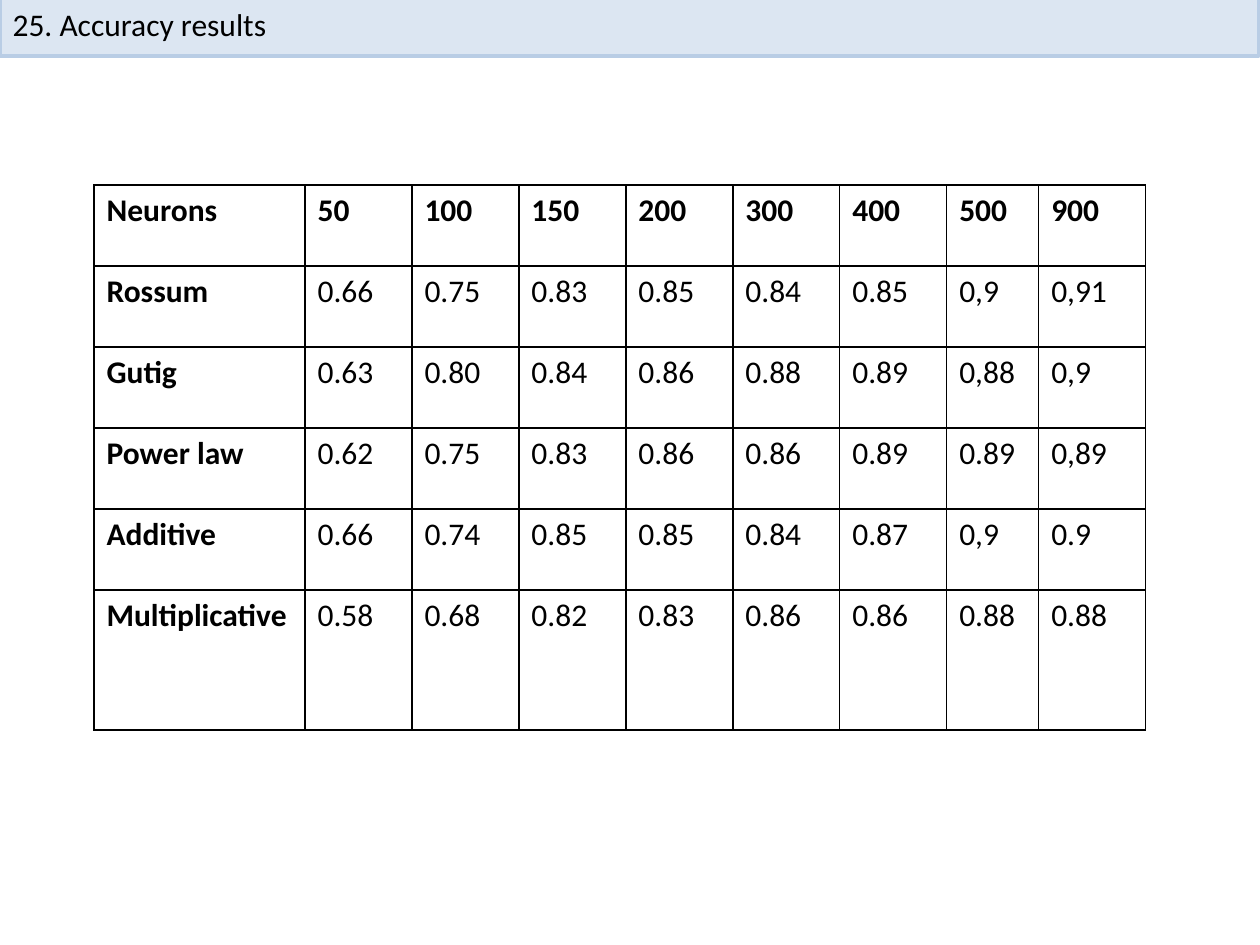
from lxml.etree import SubElement
from pptx import Presentation
from pptx.dml.color import RGBColor as RGB
from pptx.enum.text import MSO_ANCHOR as ANCHOR, PP_ALIGN as ALIGN
from pptx.oxml.ns import qn
from pptx.util import Inches, Pt

PX = Inches(1) / 126
COLORS = {"bar": "DCE6F2", "edge": "B9CDE5", "ink": "000000"}


def px(n):
    return round(n * PX)


class Deck:
    """Draws the elements of the current slide in one style."""

    def __init__(self, prs, font="Calibri", size=18):
        self.font, self.size = font, size
        self.slide = prs.slides.add_slide(prs.slide_layouts[5])

    def color(self, name):
        return RGB.from_string(COLORS[name])

    def label(self, tf, text, bold=False, align=None):
        tf.text = text
        p = tf.paragraphs[0]
        p.alignment = align
        f = p.runs[0].font
        f.name, f.size, f.bold = self.font, Pt(self.size), bold
        f.color.rgb = self.color("ink")

    def title(self, text, left, top, width, height):
        sp = self.slide.shapes.title
        sp.left, sp.top, sp.width, sp.height = map(px, (left, top, width, height))
        sp.fill.solid()
        sp.fill.fore_color.rgb = self.color("bar")
        sp.line.color.rgb = self.color("edge")
        sp.line.width = Pt(2)
        sp.text_frame.vertical_anchor = ANCHOR.MIDDLE
        self.label(sp.text_frame, text, align=ALIGN.JUSTIFY)

    def borders(self, cell):
        tc_pr = cell._tc.get_or_add_tcPr()
        for i, side in enumerate(("lnL", "lnR", "lnT", "lnB")):
            ln = tc_pr.makeelement(qn(f"a:{side}"), {"w": str(Pt(1))})
            fill = SubElement(ln, qn("a:solidFill"))
            SubElement(fill, qn("a:srgbClr"), val=COLORS["ink"])
            tc_pr.insert(i, ln)

    def table(self, rows, left, top, widths, heights):
        box = map(px, (left, top, sum(widths), sum(heights)))
        table = self.slide.shapes.add_table(len(rows), len(widths), *box).table
        table.first_row = table.horz_banding = False
        for col, width in zip(table.columns, widths):
            col.width = px(width)
        for row, height in zip(table.rows, heights):
            row.height = px(height)
        for r, values in enumerate(rows):
            for c, value in enumerate(values):
                cell = table.cell(r, c)
                cell.fill.background()
                self.borders(cell)
                self.label(cell.text_frame, value, bold=r == 0 or c == 0)


ACCURACY = [
    ["Neurons", "50", "100", "150", "200", "300", "400", "500", "900"],
    ["Rossum", "0.66", "0.75", "0.83", "0.85", "0.84", "0.85", "0,9", "0,91"],
    ["Gutig", "0.63", "0.80", "0.84", "0.86", "0.88", "0.89", "0,88", "0,9"],
    ["Power law", "0.62", "0.75", "0.83", "0.86", "0.86", "0.89", "0.89", "0,89"],
    ["Additive", "0.66", "0.74", "0.85", "0.85", "0.84", "0.87", "0,9", "0.9"],
    ["Multiplicative", "0.58", "0.68", "0.82", "0.83", "0.86", "0.86", "0.88", "0.88"],
]

prs = Presentation()
prs.slide_width, prs.slide_height = Inches(10), Inches(7.5)
deck = Deck(prs)
deck.title("25. Accuracy results", 0, -9, 1259, 65)
deck.table(ACCURACY, 94, 185, [211] + [107] * 6 + [92, 107], [81] * 5 + [140])
prs.save("out.pptx")
